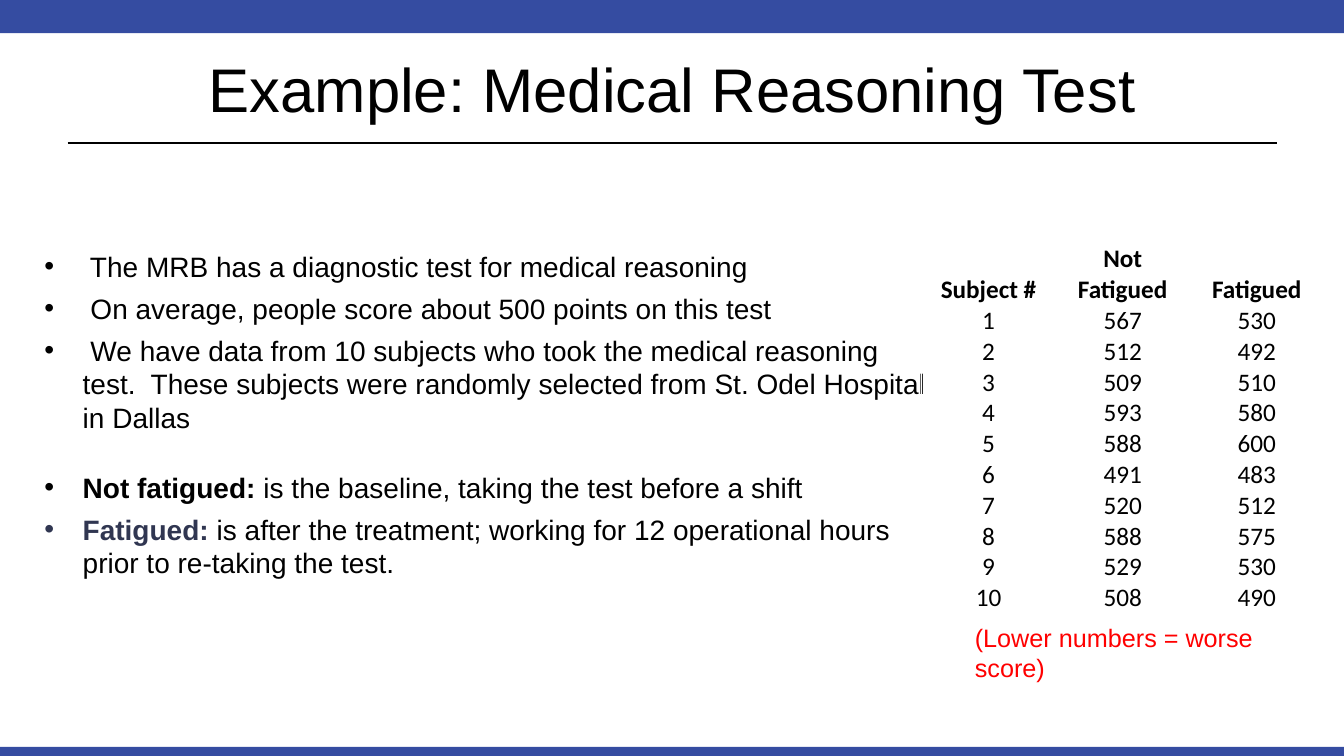
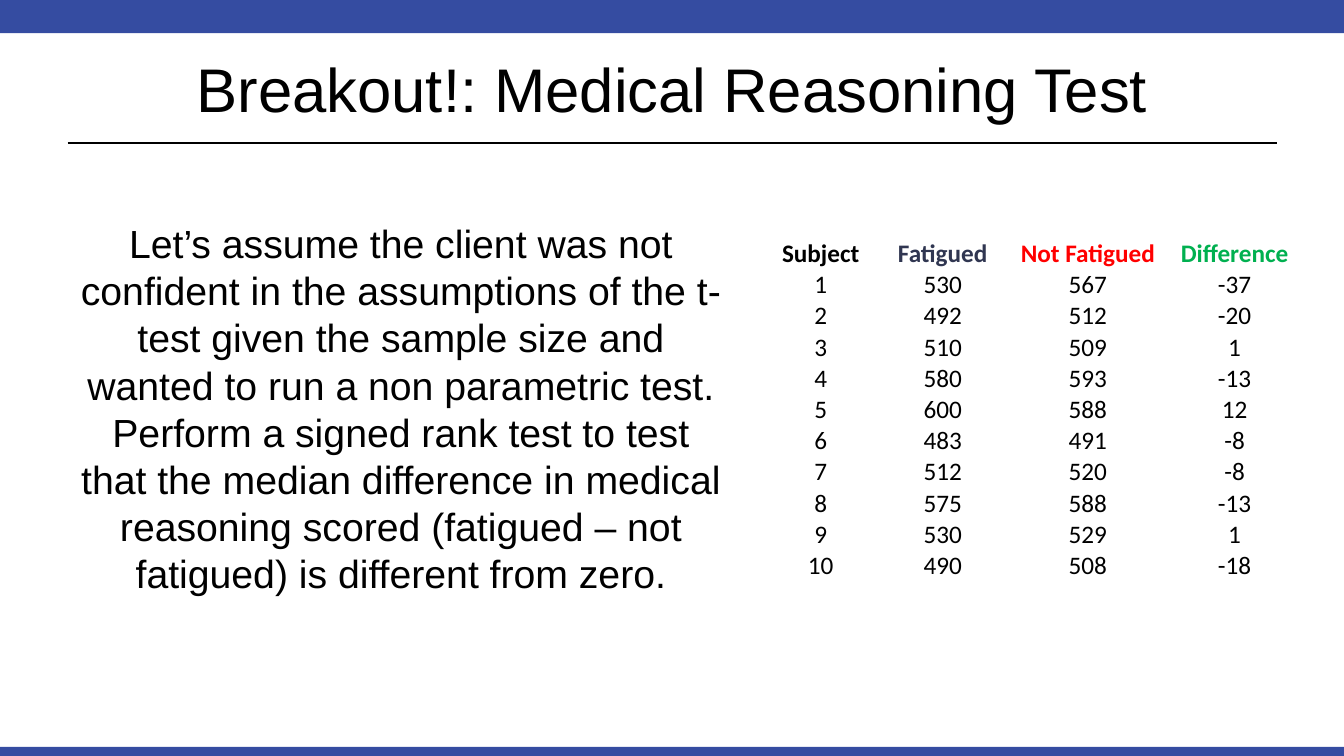
from lxml import etree
from pptx import Presentation
from pptx.dml.color import RGBColor
from pptx.enum.shapes import MSO_CONNECTOR, MSO_SHAPE
from pptx.enum.text import MSO_ANCHOR, MSO_AUTO_SIZE, PP_ALIGN
from pptx.oxml.ns import qn
from pptx.util import Inches, Pt

RECT = MSO_SHAPE.RECTANGLE
STRAIGHT = MSO_CONNECTOR.STRAIGHT
BOTTOM = MSO_ANCHOR.BOTTOM
CENTER = PP_ALIGN.CENTER
LEFT = PP_ALIGN.LEFT
NO_FIT = MSO_AUTO_SIZE.NONE

HEX = {
    "band": "354CA1",
    "black": "000000",
    "navy": "303651",
    "red": "FF0000",
    "green": "00B050",
}
WIDE, HIGH = 13.33, 7.5
EDGE, SPAN = 0.67, 12
BANDS = [(0, 0, WIDE, 0.33), (0, 7.41, WIDE, 0.09)]

LIST = {"name": "Arial", "size": Pt(20)}
LEAD = {"name": "Arial", "size": Pt(28)}
NOTE = {"name": "Arial", "size": Pt(18)}
CELL = {"name": "Calibri", "size": Pt(18)}

FRESH = [567, 512, 509, 593, 588, 491, 520, 588, 529, 508]
TIRED = [530, 492, 510, 580, 600, 483, 512, 575, 530, 490]

POINTS = [
    (0, [(" The MRB has a diagnostic test for medical reasoning", "black", False)]),
    (6, [(" On average, people score about 500 points on this test", "black", False)]),
    (6, [(" We have data from 10 subjects who took the medical reasoning test.  "
          "These subjects were randomly selected from St. Odel Hospital in Dallas",
          "black", False)]),
    (26, [("Not fatigued: ", "black", True),
          ("is the baseline, taking the test before a shift", "black", False)]),
    (6, [("Fatigued: ", "navy", True),
         ("is after the treatment; working for 12 operational hours "
          "prior to re-taking the test.", "black", False)]),
]
TASK = [
    "Let’s assume the client was not confident in the assumptions of the t-test "
    "given the sample size and wanted to run a non parametric test.",
    "Perform a signed rank test to test that the median difference in medical "
    "reasoning scored (fatigued – not fatigued) is different from zero.",
]


def box(*sides):
    return [Inches(side) for side in sides]


def color(key):
    return RGBColor.from_string(HEX[key])


def apply(thing, look):
    for key, value in look.items():
        setattr(thing, key, value)


def write(para, runs, look, align=LEFT, before=0):
    apply(para, {"alignment": align, "space_before": Pt(before)})
    for text, hue, bold in runs:
        run = para.add_run()
        run.text = text
        apply(run.font, {**look, "bold": bold})
        run.font.color.rgb = color(hue)


def fill(frame, items, look, align=LEFT):
    for index, (before, runs) in enumerate(items):
        para = frame.add_paragraph() if index else frame.paragraphs[0]
        write(para, runs, look, align, before)


def add_text(slide, place, items, look, align=LEFT):
    frame = slide.shapes.add_textbox(*box(*place)).text_frame
    frame.word_wrap = True
    fill(frame, items, look, align)


def add_list(slide, place, items):
    body = slide.placeholders[1]
    apply(body, dict(zip(("left", "top", "width", "height"), box(*place))))
    body.text_frame.auto_size = NO_FIT
    fill(body.text_frame, items, LIST)
    for para in body.text_frame.paragraphs:
        props = para._p.get_or_add_pPr()
        props.set("marL", str(Inches(0.38)))
        props.set("indent", str(-Inches(0.38)))


def add_grid(slide, spot, widths, tall, heads, lists):
    rows = [[text for text, _ in heads], *zip(*lists)]
    place = box(*spot, sum(widths), tall * len(rows))
    table = slide.shapes.add_table(len(rows), len(widths), *place).table
    apply(table, {"first_row": False, "horz_banding": False})
    for column, width in zip(table.columns, widths):
        column.width = Inches(width)
    for y, row in enumerate(rows):
        table.rows[y].height = Inches(tall)
        for x, value in enumerate(row):
            cell = table.cell(y, x)
            cell.fill.background()
            apply(cell, {"margin_left": 0, "margin_right": 0, "margin_top": 0,
                         "margin_bottom": 0, "vertical_anchor": BOTTOM})
            hue = "black" if y else heads[x][1]
            write(cell.text_frame.paragraphs[0], [(str(value), hue, not y)],
                  CELL, CENTER)


def add_band(slide, place):
    band = slide.shapes.add_shape(RECT, *box(*place))
    band.shadow.inherit = False
    band.fill.solid()
    band.fill.fore_color.rgb = color("band")
    band.line.fill.background()
    return band


def add_rule(slide):
    rule = slide.shapes.add_connector(
        STRAIGHT, *box(EDGE, 1.42, EDGE + SPAN, 1.42))
    rule.line.color.rgb = color("black")
    rule.line.width = Pt(1.25)
    etree.SubElement(rule.element.spPr, qn("a:effectLst"))
    return rule


def set_master(deck, slide):
    master = deck.slide_master
    title = master.placeholders[0]
    apply(title, dict(zip(("left", "top", "width", "height"),
                          box(EDGE, 0.25, SPAN, 1.25))))
    style = "p:txStyles/p:titleStyle/a:lvl1pPr/a:defRPr/a:latin"
    master.element.xpath(style)[0].set("typeface", "Arial")
    parts = [add_band(slide, place) for place in BANDS] + [add_rule(slide)]
    for index, part in enumerate(parts):
        part.element.xpath(".//p:cNvPr")[0].set("id", str(100 + index))
        master.shapes.element.insert(2 + index, part.element)


def add_slide(deck, layout, title):
    slide = deck.slides.add_slide(deck.slide_layouts[layout])
    slide.shapes.title.text = title
    return slide


def main():
    deck = Presentation()
    deck.slide_width, deck.slide_height = box(WIDE, HIGH)
    count = range(1, len(FRESH) + 1)

    first = add_slide(deck, 1, "Example: Medical Reasoning Test")
    set_master(deck, first)
    add_list(first, (0.34, 2.42, 8.96, 4.4), POINTS)
    add_grid(first, (9.14, 2.42), [1.33] * 3, 0.3,
             [(head, "black") for head in ("Subject #", "Not Fatigued", "Fatigued")],
             [count, FRESH, TIRED])
    add_text(first, (9.57, 6.12, 3.42, 0.4),
             [(0, [("(Lower numbers = worse score)", "red", False)])], NOTE)

    second = add_slide(deck, 5, "Breakout!: Medical Reasoning Test")
    add_text(second, (0.64, 2.13, 6.67, 3.87),
             [(0, [(text, "black", False)]) for text in TASK], LEAD, CENTER)
    gaps = [tired - fresh for tired, fresh in zip(TIRED, FRESH)]
    add_grid(second, (7.58, 2.36), [1.12, 1.3, 1.58, 1.33], 0.31,
             [("Subject", "black"), ("Fatigued", "navy"),
              ("Not Fatigued", "red"), ("Difference", "green")],
             [count, TIRED, FRESH, gaps])

    deck.save("out.pptx")


if __name__ == "__main__":
    main()
